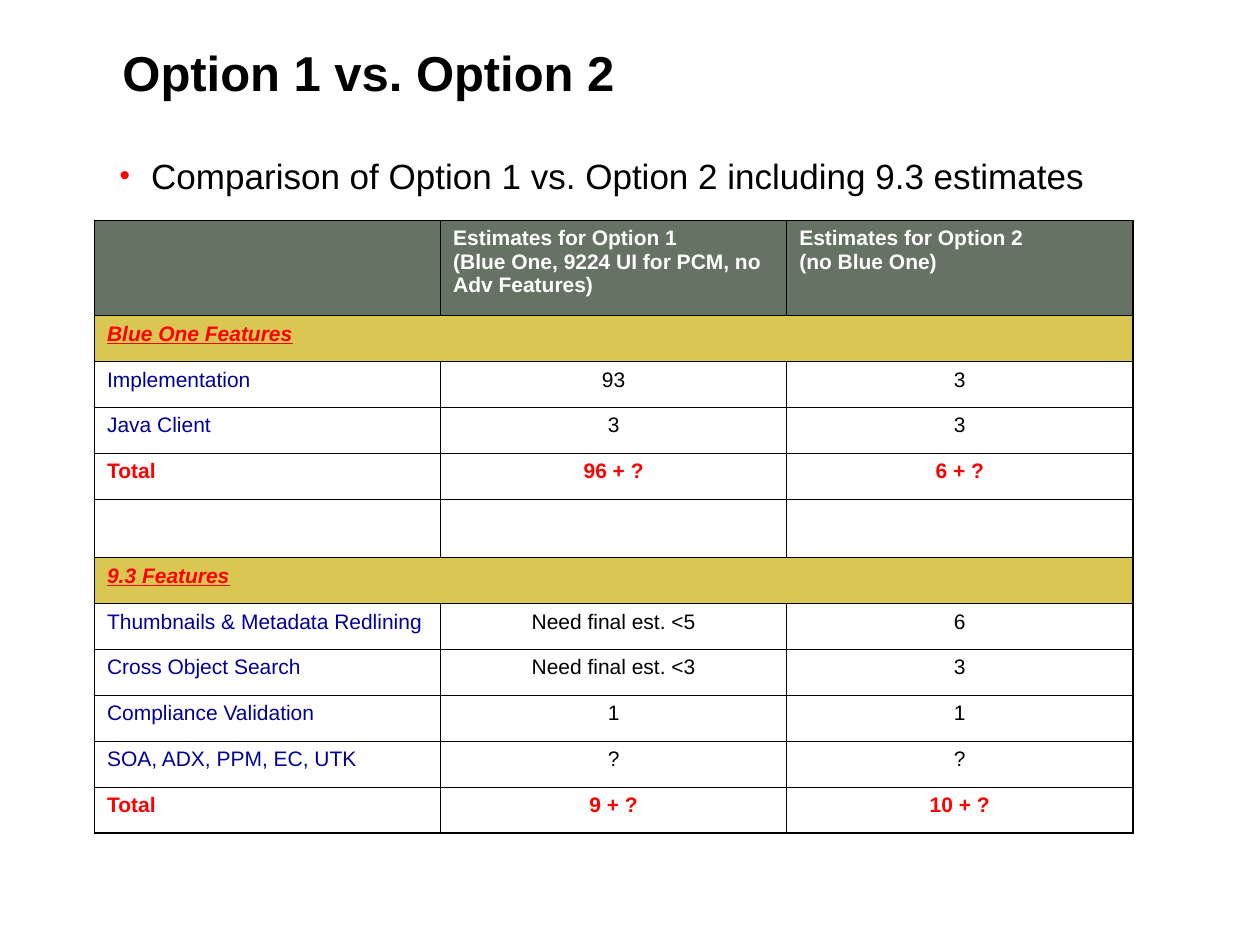
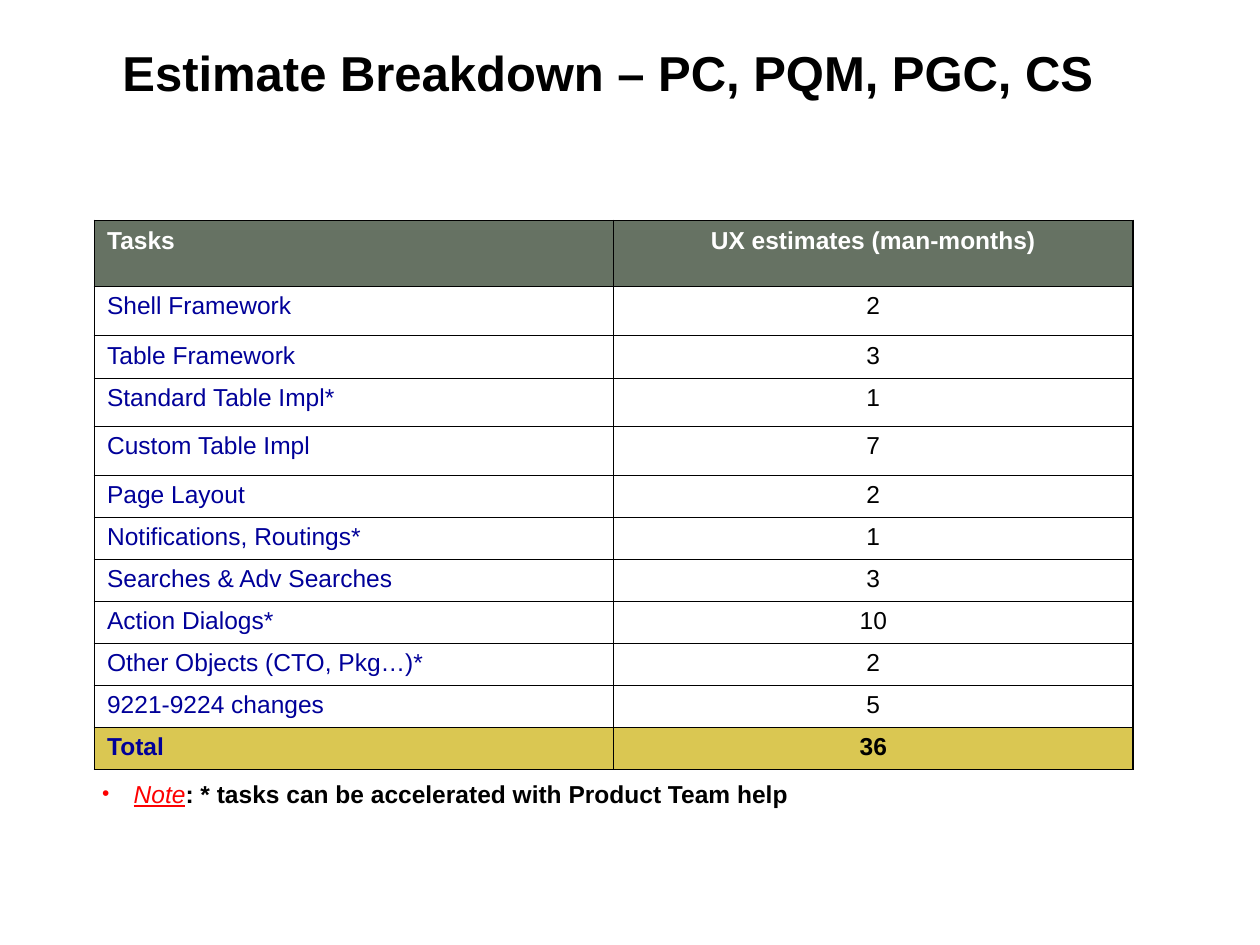
"""Build two slides of estimate tables that share one style."""
from lxml import etree
from pptx import Presentation
from pptx import util as u
from pptx.dml import color
from pptx.enum import text
from pptx.oxml import ns

COLORS = {"black": "000000", "white": "FFFFFF", "red": "FD0000",
          "blue": "000099", "slate": "667263", "gold": "DAC752"}
FONT = "Arial"
THIN, THICK = 0.45, 1.08
TABLE_LEFT, TABLE_TOP, TABLE_WIDTH = 54, 126, 593.4
CENTER, LEFT = text.PP_ALIGN.CENTER, text.PP_ALIGN.LEFT
PLAIN = {"bold": False, "italic": False, "underline": False}
BOLD = {**PLAIN, "bold": True}
NOTE = {**PLAIN, "italic": True, "underline": True}
SECTION = {**NOTE, "bold": True}

ROW_STYLES = {
    "head": {"fill": "slate", "label": "white", "value": "white", "format": BOLD},
    "section": {"fill": "gold", "label": "red", "value": "red", "format": SECTION},
    "body": {"fill": None, "label": "blue", "value": "black", "format": PLAIN},
    "total": {"fill": None, "label": "red", "value": "red", "format": BOLD},
    "grand total": {"fill": "gold", "label": "blue", "value": "black", "format": BOLD},
}

OPTION_ROWS = [
    ("head", 54.5, ["", "Estimates for Option 1\v(Blue One, 9224 UI for PCM, no Adv Features)",
                    "Estimates for Option 2\v(no Blue One)"]),
    ("section", 26.2, ["Blue One Features"]),
    ("body", 26.2, ["Implementation", "93", "3"]),
    ("body", 26.2, ["Java Client", "3", "3"]),
    ("total", 26.2, ["Total", "96 + ?", "6 + ?"]),
    ("body", 33.5, ["", "", ""]),
    ("section", 26.2, ["9.3 Features"]),
    ("body", 26.2, ["Thumbnails & Metadata Redlining", "Need final est. <5", "6"]),
    ("body", 26.2, ["Cross Object Search", "Need final est. <3", "3"]),
    ("body", 26.2, ["Compliance Validation", "1", "1"]),
    ("body", 26.2, ["SOA, ADX, PPM, EC, UTK", "?", "?"]),
    ("total", 26.2, ["Total", "9 + ?", "10 + ?"]),
]

TASK_ROWS = [
    ("head", 37.4, ["Tasks", "UX estimates (man-months)"]),
    ("body", 28.5, ["Shell Framework", "2"]),
    ("body", 24, ["Table Framework", "3"]),
    ("body", 27.5, ["Standard Table Impl*", "1"]),
    ("body", 28, ["Custom Table Impl", "7"]),
    ("body", 24, ["Page Layout", "2"]),
    ("body", 24, ["Notifications, Routings*", "1"]),
    ("body", 24, ["Searches & Adv Searches", "3"]),
    ("body", 24, ["Action Dialogs*", "10"]),
    ("body", 24, ["Other Objects (CTO, Pkg…)*", "2"]),
    ("body", 24, ["9221-9224 changes", "5"]),
    ("grand total", 24, ["Total", "36"]),
]


def set_values(target, values):
    for name, value in values.items():
        setattr(target, name, value)


def rgb(name):
    return color.RGBColor.from_string(COLORS[name])


def add_element(parent, tag, **attributes):
    return etree.SubElement(parent, ns.qn(tag), attributes)


class Deck:
    def __init__(self):
        self.presentation = Presentation()
        set_values(self.presentation, {"slide_width": u.Pt(720), "slide_height": u.Pt(540)})
        self.slide = None

    def add_slide(self, title):
        self.slide = self.presentation.slides.add_slide(self.presentation.slide_layouts[6])
        paragraph = self.add_box(70, 24, 597, 74)
        self.add_run(paragraph, title, 28, "black", BOLD)

    def add_box(self, left, top, width, height):
        shape = self.slide.shapes.add_textbox(*map(u.Pt, (left, top, width, height)))
        set_values(shape.text_frame, {"word_wrap": True, "margin_left": 0, "margin_top": 0,
                                      "margin_right": 0, "margin_bottom": 0})
        return shape.text_frame.paragraphs[0]

    def style_font(self, font, size, color_name, values):
        set_values(font, {"name": FONT, "size": u.Pt(size), **values})
        font.color.rgb = rgb(color_name)

    def add_run(self, paragraph, content, size, color_name, values):
        run = paragraph.add_run()
        run.text = content
        self.style_font(run.font, size, color_name, values)

    def add_bullet(self, left, top, height, size, runs):
        paragraph = self.add_box(left, top, 593, height)
        properties = paragraph._p.get_or_add_pPr()
        properties.set("marL", str(u.Pt(18)))
        properties.set("indent", str(u.Pt(-18)))
        add_element(add_element(properties, "a:buClr"), "a:srgbClr", val=COLORS["red"])
        add_element(properties, "a:buSzPct", val="85000")
        add_element(properties, "a:buFont", typeface=FONT)
        add_element(properties, "a:buChar", char="•")
        for content, color_name, values in runs:
            self.add_run(paragraph, content, size, color_name, values)

    def add_borders(self, cell, thick_sides):
        properties = cell._tc.get_or_add_tcPr()
        for index, side in enumerate("LRTB"):
            width = THICK if side in thick_sides else THIN
            line = etree.Element(ns.qn(f"a:ln{side}"), w=str(u.Pt(width)))
            add_element(add_element(line, "a:solidFill"), "a:srgbClr", val=COLORS["black"])
            properties.insert(index, line)

    def fill_cell(self, cell, content, size, style, color_name, alignment):
        if style["fill"]:
            cell.fill.solid()
            cell.fill.fore_color.rgb = rgb(style["fill"])
        else:
            cell.fill.background()
        cell.text = content
        paragraph = cell.text_frame.paragraphs[0]
        paragraph.alignment = alignment
        for run in paragraph.runs:
            self.style_font(run.font, size, color_name, style["format"])

    def add_table(self, rows, column_count, size, head_alignment):
        height = sum(row_height for _, row_height, _ in rows)
        frame = self.slide.shapes.add_table(
            len(rows), column_count, *map(u.Pt, (TABLE_LEFT, TABLE_TOP, TABLE_WIDTH, height)))
        table = frame.table
        set_values(table, {"first_row": False, "horz_banding": False})
        for column in table.columns:
            column.width = u.Pt(TABLE_WIDTH / column_count)
        last_row, last_column = len(rows) - 1, column_count - 1
        for row, (kind, row_height, contents) in enumerate(rows):
            table.rows[row].height = u.Pt(row_height)
            style = ROW_STYLES[kind]
            spans = len(contents) == 1
            if spans:
                table.cell(row, 0).merge(table.cell(row, last_column))
            for column, content in enumerate(contents):
                cell = table.cell(row, column)
                color_name = style["value"] if column else style["label"]
                value_alignment = head_alignment if kind == "head" else CENTER
                self.fill_cell(cell, content, size, style, color_name,
                               value_alignment if column else LEFT)
                edges = {"L": column == 0, "R": spans or column == last_column,
                         "T": row == 0, "B": row == last_row}
                self.add_borders(cell, [side for side, outer in edges.items() if outer])


def main():
    deck = Deck()
    deck.add_slide("Option 1 vs. Option 2")
    deck.add_table(OPTION_ROWS, 3, 12, LEFT)
    deck.add_bullet(68.4, 88, 73, 20, [
        ("Comparison of Option 1 vs. Option 2 including 9.3 estimates", "black", PLAIN)])

    deck.add_slide("Estimate Breakdown – PC, PQM, PGC, CS")
    deck.add_table(TASK_ROWS, 2, 14, CENTER)
    deck.add_bullet(58.4, 445, 33, 14, [
        ("Note", "red", NOTE),
        (": * tasks can be accelerated with Product Team help", "black", BOLD)])
    deck.presentation.save("out.pptx")


if __name__ == "__main__":
    main()
